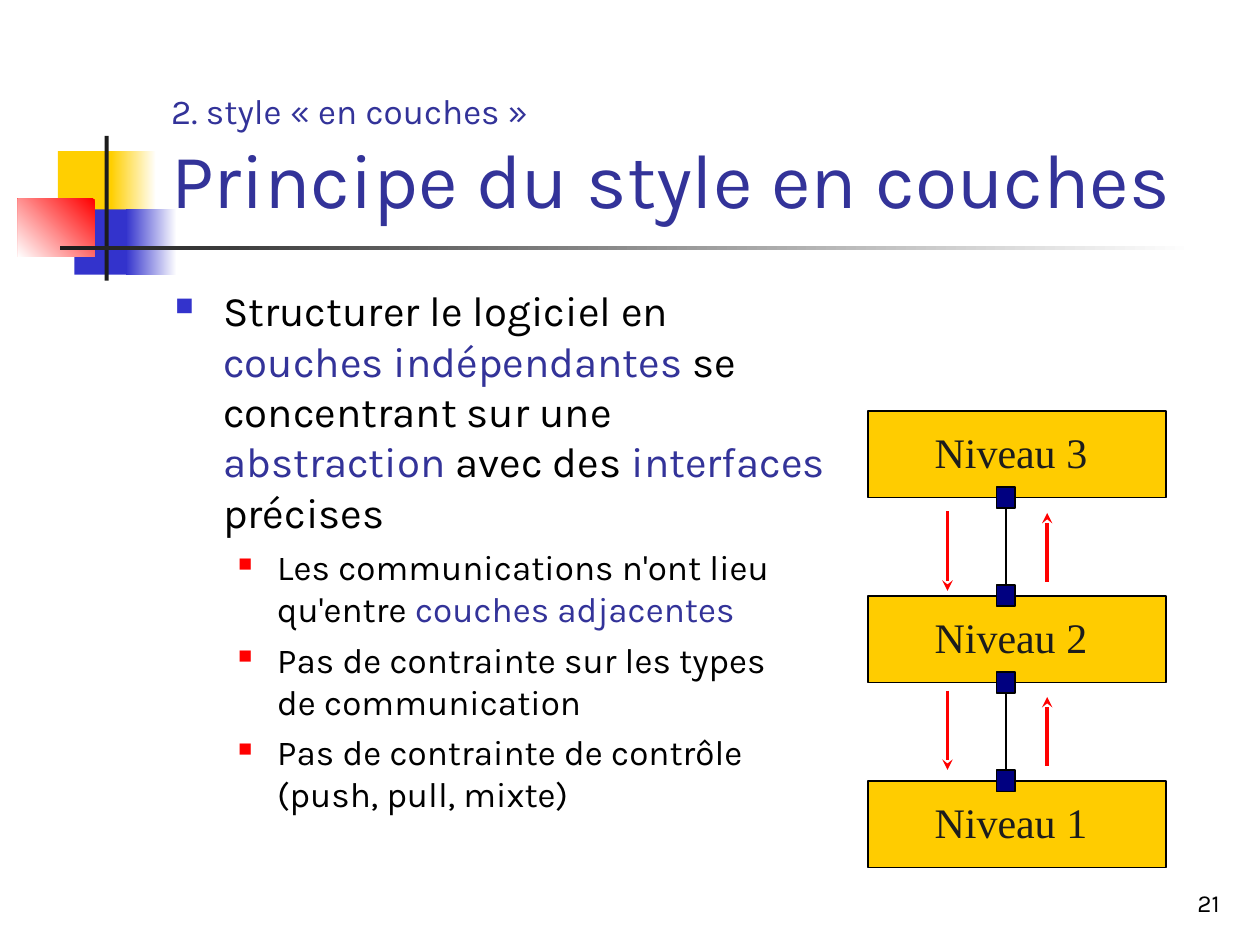
from lxml.etree import SubElement
from pptx import Presentation
from pptx.dml.color import RGBColor
from pptx.enum.shapes import MSO_CONNECTOR as Connector, MSO_SHAPE as Shape
from pptx.enum.text import MSO_ANCHOR as Anchor, MSO_AUTO_SIZE as AutoSize, PP_ALIGN as Align
from pptx.oxml.ns import qn
from pptx.util import Cm, Pt

SANS, SERIF = "Karla", "Times New Roman"
BLACK, INK, BLUE, RED, WHITE = "000000", "1C1C1C", "333399", "FF0000", "FFFFFF"
ORNAMENTS = [
    ((1.17, 3.05, 1.22, 1.32), ["FFCF01"], 0),
    ((2.24, 3.05, 0.91, 1.32), [WHITE, "FFCF01"], 180),
    ((1.5, 4.22, 1.17, 1.32), ["3333CC"], 0),
    ((2.54, 4.22, 1.02, 1.32), [WHITE, "3333CC"], 180),
    ((0.36, 4.01, 1.55, 1.17), [RED, WHITE], 225),
    ((2.11, 2.74, 0.08, 2.92), [INK], 0),
    ((1.22, 4.95, 22.86, 0.1), [WHITE, INK], 180),
]
TITLE = [("2. style « en couches »\n", 20), ("Principe du style en couches", 44)]
BODY = [
    (0, [("Structurer le logiciel en ", BLACK), ("couches indépendantes", BLUE),
         (" se concentrant sur une ", BLACK), ("abstraction", BLUE),
         (" avec des ", BLACK), ("interfaces", BLUE), (" précises", BLACK)]),
    (1, [("Les communications n'ont lieu\nqu'entre ", BLACK), ("couches adjacentes", BLUE)]),
    (1, [("Pas de contrainte sur les types\nde communication", BLACK)]),
    (1, [("Pas de contrainte de contrôle\n(push, pull, mixte)", BLACK)]),
]
BULLETS = [
    {"size": 24, "margin": 0.97, "hang": 0.97, "before": 0, "color": "3333CC", "scale": 60},
    {"size": 20, "margin": 2.06, "hang": 0.79, "before": 5, "color": RED, "scale": 55},
]
LEVELS = ["Niveau 3", "Niveau 2", "Niveau 1"]
LEFT, TOP, WIDTH, HEIGHT, STEP = 17.5, 8.28, 6, 1.75, 3.73
PORT_X, PORT_WIDTH, PORT_HEIGHT = 20.28, 0.38, 0.43
ARROWS = [
    (21.11, [(15.44, 14.05), (11.73, 10.34)]),
    (19.1, [(10.31, 11.91), (13.92, 15.52)]),
]


def color(value):
    return RGBColor.from_string(value)


def add_rect(place, fills, angle=0, outline=None):
    rect = page.shapes.add_shape(Shape.RECTANGLE, *map(Cm, place))
    rect.shadow.inherit = False
    if len(fills) == 1:
        rect.fill.solid()
        rect.fill.fore_color.rgb = color(fills[0])
    else:
        rect.fill.gradient()
        rect.fill.gradient_angle = angle
        for position, (stop, value) in enumerate(zip(rect.fill.gradient_stops, fills)):
            stop.position = position
            stop.color.rgb = color(value)
    if outline:
        rect.line.color.rgb = color(outline)
        rect.line.width = Pt(1)
    else:
        rect.line.fill.background()


def add_line(shapes, x, start, end, value, width, arrow=False):
    line = shapes.add_connector(Connector.STRAIGHT, Cm(x), Cm(start), Cm(x), Cm(end))
    line.line.color.rgb = color(value)
    line.line.width = Pt(width)
    if arrow:
        SubElement(line.line._get_or_add_ln(), qn("a:tailEnd"), type="stealth")
    SubElement(line._element.spPr, qn("a:effectLst"))


def set_frame(box, **settings):
    frame = box.text_frame
    values = {"word_wrap": True, "auto_size": AutoSize.NONE, "vertical_anchor": Anchor.TOP,
              "margin_left": Cm(0.25), "margin_right": Cm(0.25),
              "margin_top": Cm(0.13), "margin_bottom": Cm(0.13)}
    for name, value in {**values, **settings}.items():
        setattr(frame, name, value)
    return frame.paragraphs[0]


def add_box(place, **settings):
    box = page.shapes.add_textbox(*map(Cm, place))
    return box, set_frame(box, **settings)


def add_text(para, text, size, value, font=SANS):
    for number, line in enumerate(text.split("\n")):
        if number:
            para.add_line_break()
        if line:
            span = para.add_run()
            span.text = line
            for name, setting in {"name": font, "size": Pt(size)}.items():
                setattr(span.font, name, setting)
            span.font.color.rgb = color(value)


def add_bullet(para, style):
    props = para._p.get_or_add_pPr()
    props.set("marL", str(Cm(style["margin"])))
    props.set("indent", str(-Cm(style["hang"])))
    SubElement(SubElement(props, qn("a:buClr")), qn("a:srgbClr"), val=style["color"])
    SubElement(props, qn("a:buSzPct"), val=str(style["scale"] * 1000))
    SubElement(props, qn("a:buChar"), char="■")
    para.space_before = Pt(style["before"])


deck = Presentation()
deck.slide_width, deck.slide_height = Cm(25.4), Cm(19.05)
page = deck.slides.add_slide(deck.slide_layouts[5])

for place, fills, angle in ORNAMENTS:
    add_rect(place, fills, angle)

tops = [TOP + STEP * index for index in range(len(LEVELS))]
gaps = [(upper + HEIGHT, lower) for upper, lower in zip(tops, tops[1:])]
for start, end in gaps:
    add_line(page.shapes, PORT_X, start, end, BLACK, 1)
for name, top in zip(LEVELS, tops):
    add_rect((LEFT, top, WIDTH, HEIGHT), ["FFCC00"], outline=BLACK)
    box, para = add_box((18.59, top + 0.18, 3.58, 1.27), word_wrap=False)
    add_text(para, name, 24, INK, SERIF)
for gap in gaps:
    for edge in gap:
        add_rect((PORT_X - PORT_WIDTH / 2, edge - PORT_HEIGHT / 2, PORT_WIDTH, PORT_HEIGHT),
                 ["000080"], outline=BLACK)
for x, spans in ARROWS:
    group = page.shapes.add_group_shape()
    for start, end in spans:
        add_line(group.shapes, x, start, end, RED, 2, arrow=True)

title = page.shapes.title
title.left, title.top, title.width, title.height = map(Cm, (3.2, 0.58, 21.64, 4.06))
para = set_frame(title, vertical_anchor=Anchor.BOTTOM)
para.alignment = Align.LEFT
for text, size in TITLE:
    add_text(para, text, size, BLUE)

box, para = add_box((3.28, 5.61, 13.82, 11.43))
for index, (level, spans) in enumerate(BODY):
    if index:
        para = box.text_frame.add_paragraph()
    para.level = level
    add_bullet(para, BULLETS[level])
    for text, value in spans:
        add_text(para, text, BULLETS[level]["size"], value)

box, para = add_box((19.56, 17.35, 5.28, 1.27), vertical_anchor=Anchor.BOTTOM)
para.alignment = Align.RIGHT
add_text(para, "21", 14, BLACK)

deck.save("out.pptx")
